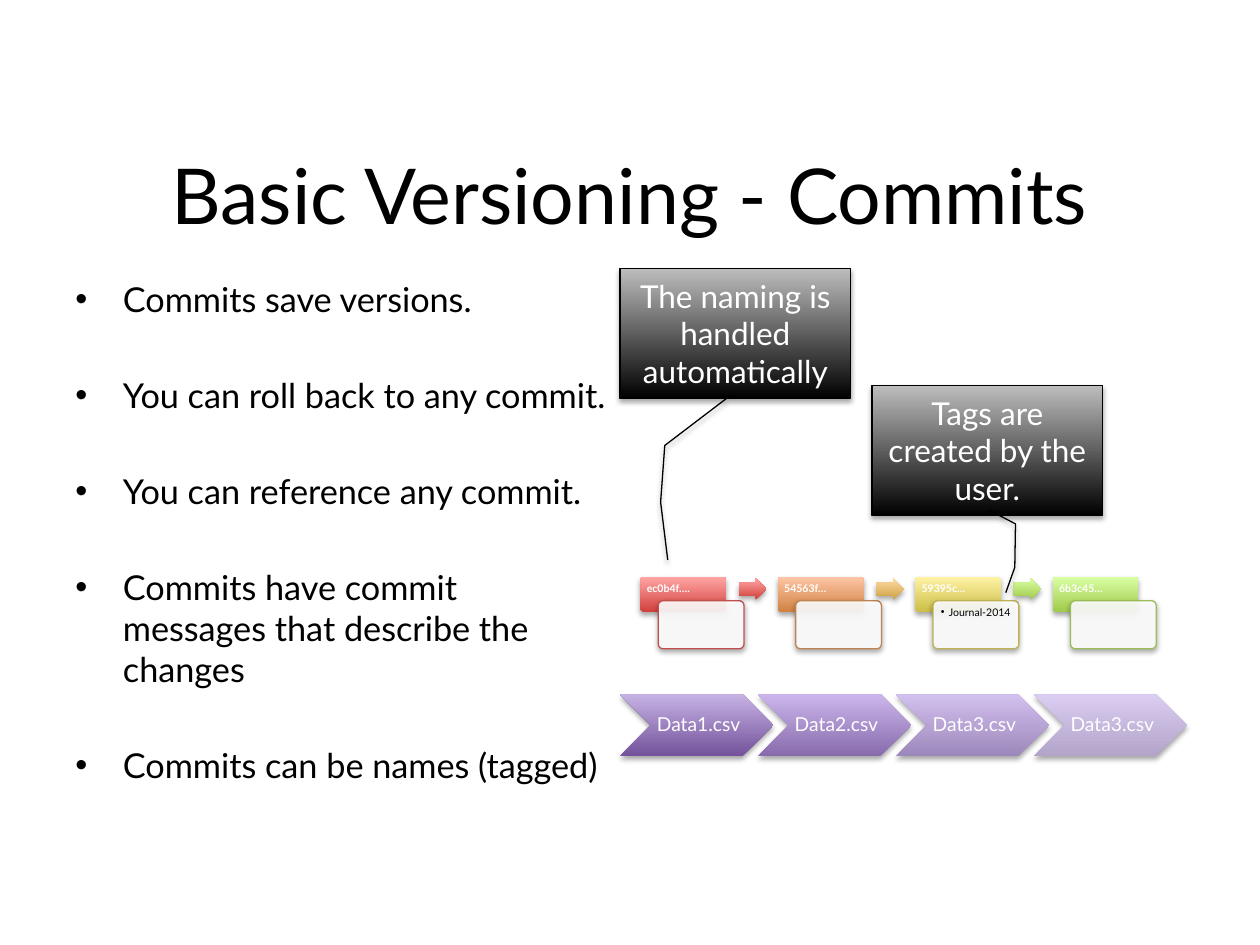
from typing import NamedTuple

from lxml import etree
from pptx import Presentation
from pptx.dml.color import RGBColor as RGB
from pptx.enum.shapes import MSO_SHAPE as Kind
from pptx.enum.text import MSO_ANCHOR as Anchor, PP_ALIGN as Align
from pptx.oxml.ns import qn
from pptx.util import Cm, Pt

FONT = "Lato"
BLACK = RGB(0x00, 0x00, 0x00)
WHITE = RGB(0xFF, 0xFF, 0xFF)
GREY = RGB(0xBD, 0xBD, 0xBD)
RED, ROSE, RUST = RGB(0xD1, 0x40, 0x3C), RGB(0xFF, 0xA6, 0xA5), RGB(0xC0, 0x50, 0x4D)
ORANGE, PEACH, BROWN = RGB(0xCF, 0x82, 0x41), RGB(0xFF, 0xC5, 0xA5), RGB(0xBE, 0x83, 0x51)
AMBER, SAND = RGB(0xCD, 0xA1, 0x43), RGB(0xFF, 0xDA, 0xA5)
YELLOW, CREAM, OLIVE = RGB(0xCC, 0xBE, 0x46), RGB(0xFF, 0xF2, 0xA5), RGB(0xBD, 0xB2, 0x55)
GREEN, LIME, MOSS = RGB(0xA0, 0xCA, 0x4A), RGB(0xDA, 0xFF, 0xA5), RGB(0x9B, 0xBB, 0x59)


class Box(NamedTuple):
    left: float
    top: float
    width: float
    height: float


class Commit(NamedTuple):
    name: str
    low: RGB
    high: RGB
    edge: RGB
    arrow: tuple = ()
    tag: str = ""


class Stage(NamedTuple):
    name: str
    low: RGB
    high: RGB


class Callout(NamedTuple):
    text: str
    left: float
    top: float
    bends: tuple


POINTS = (
    "Commits save versions.",
    "You can roll back to any commit.",
    "You can reference any commit.",
    "Commits have commit messages that describe the changes",
    "Commits can be names (tagged)",
)
COMMITS = (
    Commit("ec0b4f….", RED, ROSE, RUST, (RED, ROSE)),
    Commit("54563f…", ORANGE, PEACH, BROWN, (AMBER, SAND)),
    Commit("59395c…", YELLOW, CREAM, OLIVE, (GREEN, LIME), "Journal-2014"),
    Commit("6b3c45…", GREEN, LIME, MOSS),
)
STAGES = (
    Stage("Data1.csv", RGB(0x73, 0x52, 0x9B), RGB(0xC6, 0xB2, 0xE4)),
    Stage("Data2.csv", RGB(0x88, 0x6B, 0xAD), RGB(0xCB, 0xB6, 0xEB)),
    Stage("Data3.csv", RGB(0x9D, 0x88, 0xBB), RGB(0xD2, 0xC0, 0xEF)),
    Stage("Data3.csv", RGB(0xB3, 0xA4, 0xC9), RGB(0xDB, 0xCC, 0xF2)),
)
CALLOUTS = (
    Callout("The naming is handled automatically", 12.5, 5.41,
            (0.974, 0.482, 1.363, 0.194, 1.799, 0.176, 2.244, 0.207)),
    Callout("Tags are created by the user.", 17.58, 7.77,
            (0.959, 0.507, 1.066, 0.622, 1.4, 0.619, 1.595, 0.58)),
)


def lengths(box: Box) -> list:
    return [Cm(side) for side in box]


def write(shape, text: str, size: float, color: RGB, align=Align.LEFT,
          anchor=Anchor.TOP, pads=(0.25, 0.13, 0.25, 0.13),
          bold: bool = False, lead: float = 1.0) -> None:
    frame = shape.text_frame
    frame.text = text
    frame.word_wrap = True
    frame.vertical_anchor = anchor
    (frame.margin_left, frame.margin_top,
     frame.margin_right, frame.margin_bottom) = [Cm(pad) for pad in pads]
    for para in frame.paragraphs:
        para.alignment = align
        para.line_spacing = lead
        for run in para.runs:
            font = run.font
            font.name, font.size, font.bold = FONT, Pt(size), bold
            font.color.rgb = color


def bullet(para, indent: float) -> None:
    props = para._p.get_or_add_pPr()
    props.set("marL", str(Cm(indent)))
    props.set("indent", str(-Cm(indent)))
    etree.SubElement(props, qn("a:buFont")).set("typeface", "Arial")
    etree.SubElement(props, qn("a:buChar")).set("char", "•")


def shade(shape, low: RGB, high: RGB) -> None:
    fill = shape.fill
    fill.gradient()
    fill.gradient_angle = 90
    for stop, color in zip(fill.gradient_stops, (low, high)):
        stop.color.rgb = color


def outline(shape, color: RGB) -> None:
    shape.line.color.rgb = color
    shape.line.width = Pt(0.75)


def add_form(slide, kind, box: Box, bends: tuple = ()):
    """Add a shape with no outline and a soft shadow below it."""
    shape = slide.shapes.add_shape(kind, *lengths(box))
    for spot, bend in enumerate(bends):
        shape.adjustments[spot] = bend
    shape.line.fill.background()
    shape.shadow.inherit = False
    effects = shape._element.spPr.find(qn("a:effectLst"))
    drop = etree.SubElement(effects, qn("a:outerShdw"), blurRad=str(Pt(3.1)),
                            dist=str(Pt(1.8)), dir="5400000", rotWithShape="0")
    tint = etree.SubElement(drop, qn("a:srgbClr"), val="000000")
    etree.SubElement(tint, qn("a:alpha"), val="35000")
    return shape


def add_text(slide, box: Box, text: str, size: float, **style):
    shape = slide.shapes.add_textbox(*lengths(box))
    write(shape, text, size, BLACK, **style)
    return shape


def add_stage(slide, stage: Stage, left: float) -> None:
    shape = add_form(slide, Kind.CHEVRON, Box(left, 14, 3.09, 1.24))
    shade(shape, stage.low, stage.high)
    write(shape, stage.name, 11, WHITE, Align.CENTER, Anchor.MIDDLE,
          (0.08, 0.05, 0, 0.05), lead=0.9)


def add_commit(slide, commit: Commit, left: float) -> None:
    # Name card
    card = add_form(slide, Kind.ROUNDED_RECTANGLE, Box(left, 11.63, 1.73, 0.71), (0.1,))
    shade(card, commit.low, commit.high)
    write(card, commit.name, 6, WHITE, pads=(0.11, 0.11, 0.11, 0.08),
          bold=True, lead=0.9)
    # Tag card
    note = add_form(slide, Kind.ROUNDED_RECTANGLE,
                    Box(left + 0.36, 12.11, 1.73, 0.97), (0.1,))
    note.fill.solid()
    note.fill.fore_color.rgb = WHITE
    tint = note._element.spPr.find(qn("a:solidFill"))[0]
    etree.SubElement(tint, qn("a:alpha"), val="90000")
    outline(note, commit.edge)
    if commit.tag:
        write(note, commit.tag, 6, BLACK, pads=(0.13, 0.1, 0.05, 0.1), lead=0.9)
        bullet(note.text_frame.paragraphs[0], 0.16)
    # Arrow to the next commit
    if commit.arrow:
        arrow = add_form(slide, Kind.RIGHT_ARROW,
                         Box(left + 1.98, 11.66, 0.56, 0.43), (0.6, 0.5))
        shade(arrow, *commit.arrow)


def add_callout(slide, call: Callout) -> None:
    shape = add_form(slide, Kind.LINE_CALLOUT_3,
                     Box(call.left, call.top, 4.65, 2.62), call.bends)
    shade(shape, BLACK, GREY)
    outline(shape, BLACK)
    write(shape, call.text, 18, WHITE, Align.CENTER, Anchor.MIDDLE)


def main() -> None:
    deck = Presentation()
    deck.slide_width, deck.slide_height = Cm(25.4), Cm(19.05)
    slide = deck.slides.add_slide(deck.slide_layouts[6])

    # Title and bullet list
    add_text(slide, Box(1.27, 2.31, 22.86, 3.18), "Basic Versioning - Commits", 44,
             align=Align.CENTER, anchor=Anchor.MIDDLE)
    body = add_text(slide, Box(1.27, 5.47, 11.23, 11.53), "\n".join(POINTS), 19.6)
    for spot, para in enumerate(body.text_frame.paragraphs):
        para.space_before = Pt(31.4 if spot else 0)
        bullet(para, 0.96)

    # Data files, commits and callouts
    for spot, stage in enumerate(STAGES):
        add_stage(slide, stage, 12.5 + 2.78 * spot)
    for spot, commit in enumerate(COMMITS):
        add_commit(slide, commit, 12.91 + 2.77 * spot)
    for call in CALLOUTS:
        add_callout(slide, call)

    deck.save("out.pptx")


if __name__ == "__main__":
    main()
